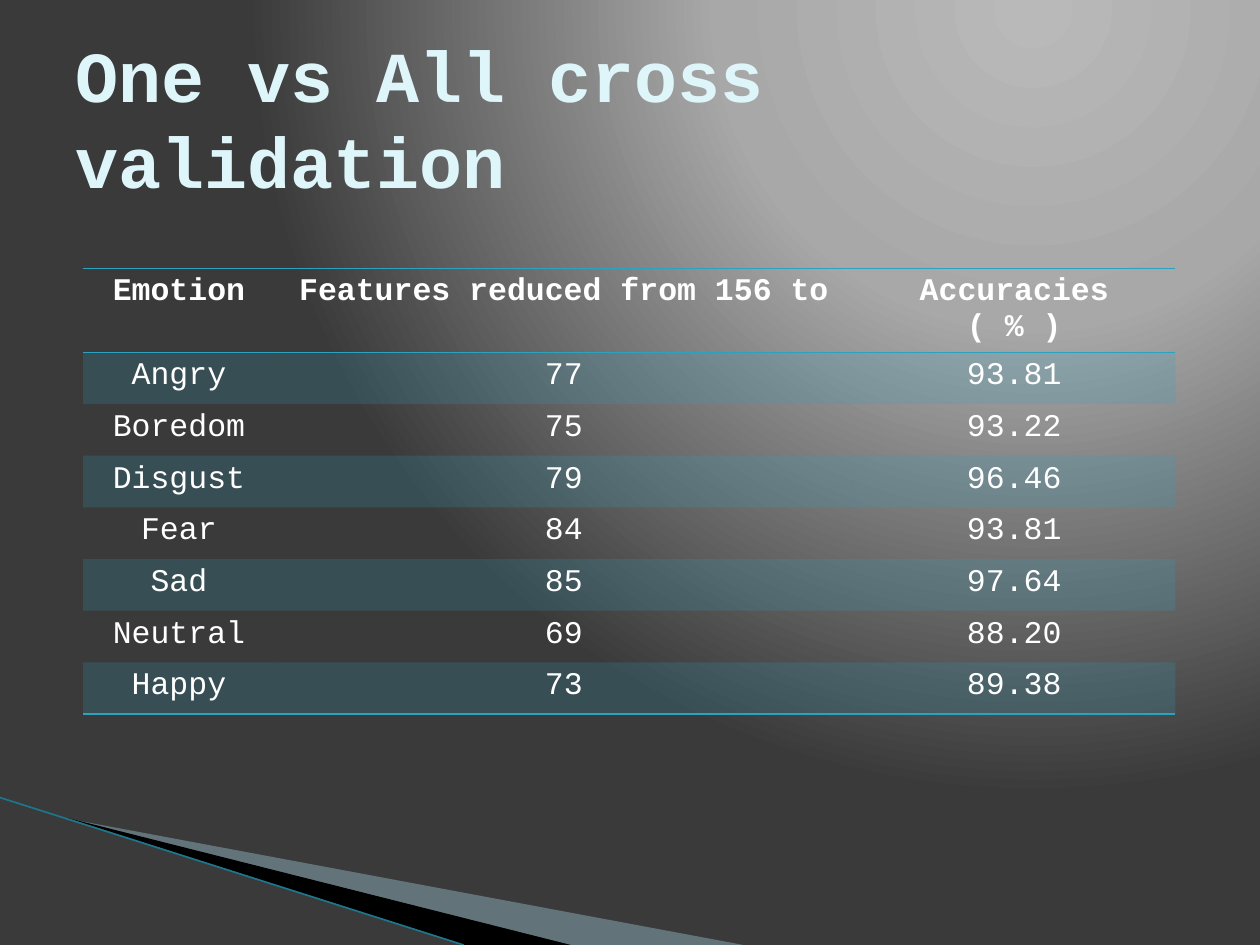
from lxml.etree import SubElement
from pptx import Presentation
from pptx.dml.color import RGBColor
from pptx.enum.shapes import MSO_CONNECTOR
from pptx.enum.text import MSO_ANCHOR, PP_ALIGN
from pptx.oxml import parse_xml
from pptx.oxml.ns import nsdecls, qn
from pptx.util import Inches, Pt

HUES = {"glow": "B9B9B9", "mid": "A8A8A8", "dark": "3A3A3A", "title": "DEF5FA",
        "text": "FFFFFF", "teal": "2DA2BF", "edge": "1E768C", "mist": "A0CBDC",
        "black": "000000"}
PLAIN = "{2D5ABB26-0587-4C30-8999-92F81FD0307C}"
HEAD = ("Emotion", "Features reduced from 156 to", "Accuracies ( % )")
SCORES = (("Angry", "77", "93.81"), ("Boredom", "75", "93.22"),
          ("Disgust", "79", "96.46"), ("Fear", "84", "93.81"),
          ("Sad", "85", "97.64"), ("Neutral", "69", "88.20"),
          ("Happy", "73", "89.38"))


class Deck:
    """Holds the style and the current slide, and draws each kind of element."""

    def __init__(self, slide, font):
        self.slide, self.font = slide, font
        self.shapes = slide.shapes

    def hue(self, name):
        return RGBColor.from_string(HUES[name])

    def glow(self, stops, left, bottom):
        marks = "".join(f'<a:gs pos="{at * 1000}"><a:srgbClr val="{HUES[name]}"/></a:gs>'
                        for at, name in stops)
        self.slide.element.cSld.insert(0, parse_xml(
            f'<p:bg {nsdecls("p", "a")}><p:bgPr><a:gradFill rotWithShape="1">'
            f'<a:gsLst>{marks}</a:gsLst><a:path path="circle">'
            f'<a:fillToRect l="{left * 1000}" t="0" r="0" b="{bottom * 1000}"/>'
            '</a:path></a:gradFill><a:effectLst/></p:bgPr></p:bg>'))

    def paint(self, fill, name, alpha=100):
        fill.solid()
        fill.fore_color.rgb = self.hue(name)
        if alpha < 100:
            for tint in fill._xPr.find(qn("a:solidFill")):
                SubElement(tint, qn("a:alpha"), val=str(alpha * 1000))

    def wedge(self, spots, name, alpha=100):
        spots = [(Inches(x), Inches(y)) for x, y in spots]
        pen = self.shapes.build_freeform(*spots[0])
        pen.add_line_segments(spots[1:], close=True)
        shape = pen.convert_to_shape()
        shape.shadow.inherit = False
        shape.line.fill.background()
        self.paint(shape.fill, name, alpha)

    def line(self, start, end, name, width):
        spots = [Inches(v) for v in (*start, *end)]
        line = self.shapes.add_connector(MSO_CONNECTOR.STRAIGHT, *spots)
        line.line.color.rgb = self.hue(name)
        line.line.width = Pt(width)
        SubElement(line.element.spPr, qn("a:effectLst"))

    def label(self, frame, text, size, name, bold, align):
        para = frame.paragraphs[0]
        para.alignment = align
        run = para.add_run()
        run.text = text
        for key, value in {"name": self.font, "size": Pt(size), "bold": bold}.items():
            setattr(run.font, key, value)
        run.font.color.rgb = self.hue(name)

    def title(self, text, box, size):
        frame = self.shapes.add_textbox(*map(Inches, box)).text_frame
        frame.word_wrap = True
        frame.vertical_anchor = MSO_ANCHOR.MIDDLE
        self.label(frame, text, size, "title", True, PP_ALIGN.LEFT)

    def rule(self, cell, side):
        edge = SubElement(cell._tc.get_or_add_tcPr(), qn(f"a:ln{side}"), w=str(Pt(1)))
        SubElement(SubElement(edge, qn("a:solidFill")), qn("a:srgbClr"), val=HUES["teal"])

    def table(self, rows, spot, widths, height, size):
        box = (*spot, sum(widths), height * len(rows))
        table = self.shapes.add_table(len(rows), len(widths), *map(Inches, box)).table
        table._tbl.tblPr.find(qn("a:tableStyleId")).text = PLAIN
        table.first_row = table.horz_banding = False
        for col, width in zip(table.columns, widths):
            col.width = Inches(width)
        for i, row in enumerate(rows):
            table.rows[i].height = Inches(height)
            sides = "TB" if i == 0 else "B" if i == len(rows) - 1 else ""
            for j, text in enumerate(row):
                cell = table.cell(i, j)
                for side in sides:
                    self.rule(cell, side)
                if i % 2:
                    self.paint(cell.fill, "teal", 20)
                else:
                    cell.fill.background()
                self.label(cell.text_frame, text, size, "text", i == 0, PP_ALIGN.CENTER)


show = Presentation()
show.slide_width, show.slide_height = Inches(10), Inches(7.5)
deck = Deck(show.slides.add_slide(show.slide_layouts[6]), "Courier New")
deck.glow(((0, "glow"), (40, "mid"), (100, "dark")), 65, 98)
deck.wedge(((0.55, 6.5), (5.9, 7.5), (4.53, 7.5)), "mist", 40)
deck.wedge(((0.53, 6.49), (4.53, 7.5), (3.68, 7.5)), "black")
deck.line((0, 6.33), (3.68, 7.5), "edge", 0.95)
deck.table((HEAD, *SCORES), (0.66, 2.13), (1.52, 4.59, 2.56), 0.41, 18)
deck.title("One vs All cross validation", (0.5, 0.3, 9, 1.25), 41)
show.save("out.pptx")
